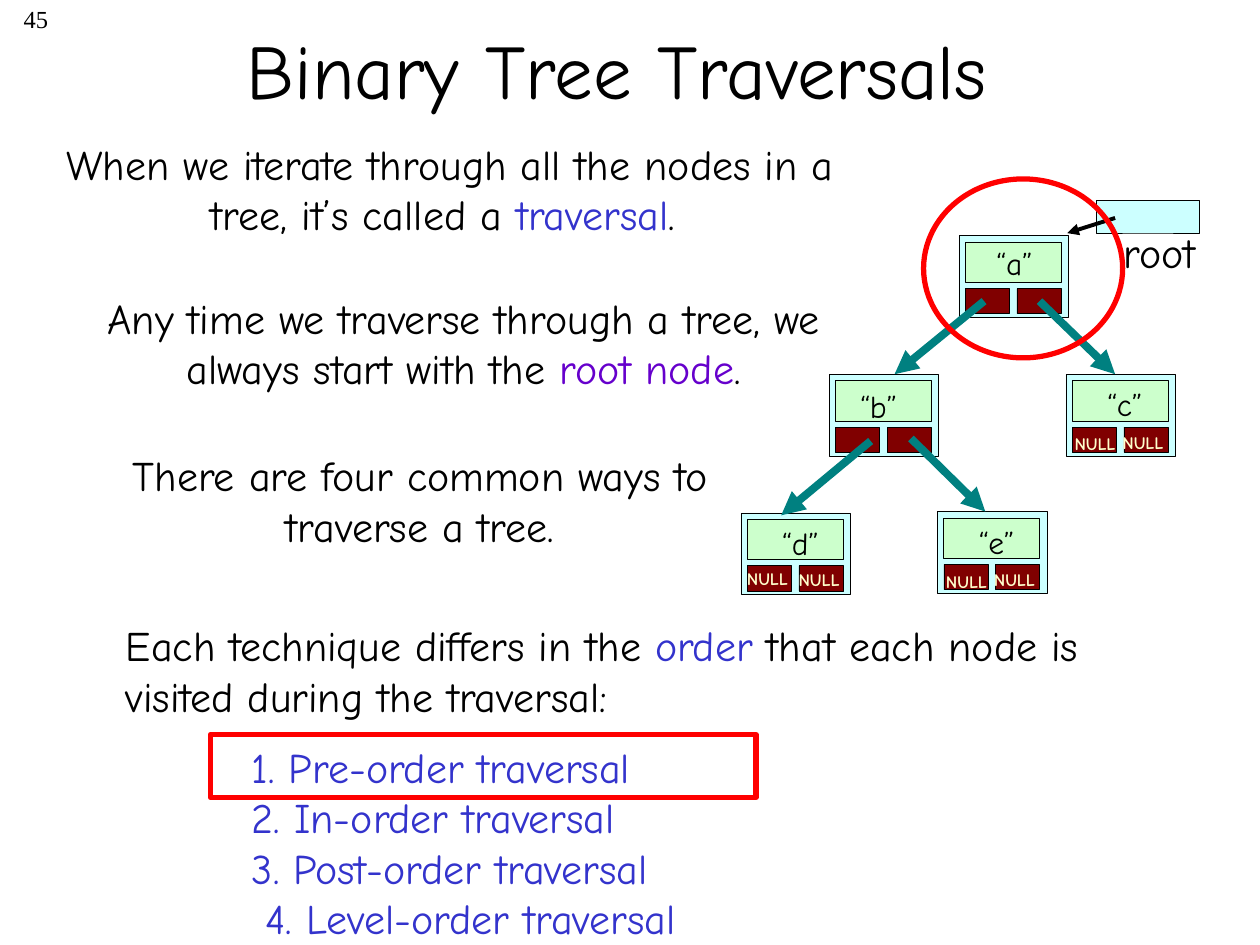
import pptx
import pptx.dml.color
import pptx.enum.shapes
import pptx.enum.text
import pptx.oxml
import pptx.oxml.ns
import pptx.util

Inches = pptx.util.Inches
Pt = pptx.util.Pt
SHAPES = pptx.enum.shapes.MSO_SHAPE
ALIGN = pptx.enum.text.PP_ALIGN

FONT = "Comic Neue"
COLORS = {
    "ink": "000000",
    "term": "3333CC",
    "root_term": "6600CC",
    "node": "CCFFFF",
    "value": "CCFFCC",
    "pointer": "800000",
    "null": "FFFFCC",
    "link": "008080",
    "highlight": "FF0000",
}

# name: (node left, node top, label offset x, label offset y, NULL offsets)
LEAF_NULLS = [(-0.03, 0.42), (0.35, 0.41)]
NODES = {
    "a": (7.61, 1.87, 0.2, 0.02, []),
    "b": (6.58, 2.97, 0.15, 0.05, []),
    "c": (8.46, 2.97, 0.23, 0.04, LEAF_NULLS),
    "d": (5.88, 4.07, 0.23, 0.04, [(-0.05, 0.39), (0.36, 0.4)]),
    "e": (7.44, 4.06, 0.23, 0.04, LEAF_NULLS),
}
LINKS = [
    ((7.81, 2.39), (7.1, 2.97)),
    ((8.25, 2.39), (8.85, 2.97)),
    ((6.91, 3.5), (6.2, 4.09)),
    ((7.23, 3.48), (7.82, 4.06)),
]
TECHNIQUES = ["Pre-order", "In-order", "Post-order", "Level-order"]


def rgb(color):
    return pptx.dml.color.RGBColor.from_string(COLORS[color])


def style_run(run, size, color="ink", font=FONT, bold=False):
    run.font.size = Pt(size)
    run.font.name = font
    run.font.bold = bold
    run.font.color.rgb = rgb(color)


def fill_paragraph(paragraph, pieces, size, align=ALIGN.LEFT, **style):
    """Write (text, color) pieces as the runs of one paragraph."""
    paragraph.alignment = align
    for text, color in pieces:
        run = paragraph.add_run()
        run.text = text
        style_run(run, size, color, **style)


def add_text(slide, box, pieces, size, align=ALIGN.LEFT, **style):
    frame = slide.shapes.add_textbox(*map(Inches, box)).text_frame
    frame.word_wrap = True
    fill_paragraph(frame.paragraphs[0], pieces, size, align, **style)
    return frame


def add_outline(slide, kind, box, line="ink", width=0.25, fill=None):
    shape = slide.shapes.add_shape(kind, *map(Inches, box))
    shape.shadow.inherit = False
    if fill:
        shape.fill.solid()
        shape.fill.fore_color.rgb = rgb(fill)
    else:
        shape.fill.background()
    shape.line.color.rgb = rgb(line)
    shape.line.width = Pt(width)


def add_arrow(slide, start, end, color, width):
    arrow = slide.shapes.add_connector(
        pptx.enum.shapes.MSO_CONNECTOR.STRAIGHT, *map(Inches, start + end))
    arrow.line.color.rgb = rgb(color)
    arrow.line.width = Pt(width)
    head = pptx.oxml.parse_xml(
        f'<a:tailEnd {pptx.oxml.ns.nsdecls("a")} type="triangle"/>')
    arrow.line._get_or_add_ln().append(head)
    effects = pptx.oxml.parse_xml(f'<a:effectLst {pptx.oxml.ns.nsdecls("a")}/>')
    arrow._element.spPr.append(effects)


def add_node(slide, name, left, top, label_x, label_y, nulls):
    add_outline(slide, SHAPES.RECTANGLE, (left, top, 0.87, 0.65), fill="node")
    for pointer_x in (0.05, 0.46):
        add_outline(slide, SHAPES.RECTANGLE,
                    (left + pointer_x, top + 0.42, 0.35, 0.2), fill="pointer")
    add_outline(slide, SHAPES.RECTANGLE,
                (left + 0.05, top + 0.05, 0.76, 0.32), fill="value")
    add_text(slide, (left + label_x, top + label_y, 0.6, 0.4),
             [(f"“{name}”", "ink")], 18)
    for x, y in nulls:
        add_text(slide, (left + x, top + y, 0.57, 0.27),
                 [("NULL", "null")], 10, bold=True)


def add_tree(slide):
    for name, layout in NODES.items():
        add_node(slide, name, *layout)
    for start, end in LINKS:
        add_arrow(slide, start, end, "link", 4.5)
    add_outline(slide, SHAPES.RECTANGLE, (8.7, 1.59, 0.82, 0.26), fill="node")
    add_text(slide, (8.82, 1.75, 0.87, 0.5), [("root", "ink")], 24)
    add_arrow(slide, (8.85, 1.73), (8.47, 1.85), "ink", 2.25)


def add_title(slide):
    title = slide.shapes.title
    title.left, title.top = Inches(0.75), Inches(-0.08)
    title.width, title.height = Inches(8.5), Inches(1.25)
    title.text_frame.text = "Binary Tree Traversals "
    title.text_frame.vertical_anchor = pptx.enum.text.MSO_ANCHOR.MIDDLE
    heading = title.text_frame.paragraphs[0]
    heading.alignment = ALIGN.CENTER
    style_run(heading.runs[0], 44)


def add_techniques(slide):
    frame = add_text(slide, (0.9, 4.87, 8.39, 2.7), [
        ("Each technique differs in the ", "ink"),
        ("order", "term"),
        (" that each node is visited during the traversal:", "ink"),
    ], 24)
    for number, technique in enumerate(TECHNIQUES, 1):
        item = frame.add_paragraph()
        fill_paragraph(item, [(f"{number}. {technique} traversal", "term")], 24)
        indent = 1.11 if number == len(TECHNIQUES) else 1
        item._p.get_or_add_pPr().set("marL", str(Inches(indent)))
        item.space_before = Pt(12 if number == 1 else 0)


def main():
    deck = pptx.Presentation()
    deck.slide_width, deck.slide_height = Inches(10), Inches(7.5)
    slide = deck.slides.add_slide(deck.slide_layouts[5])

    add_text(slide, (0, -0.02, 0.48, 0.5), [("45", "ink")], 14, ALIGN.RIGHT,
             font="Times New Roman")
    add_title(slide)
    add_text(slide, (0.31, 1.05, 6.52, 0.9), [
        ("When we iterate through all the nodes in a tree, it’s called a ", "ink"),
        ("traversal", "term"),
        (". ", "ink"),
    ], 24, ALIGN.CENTER)
    add_techniques(slide)
    add_tree(slide)
    add_text(slide, (0.42, 2.27, 6.52, 0.9), [
        ("Any time we traverse through a tree, we always start with the ", "ink"),
        ("root node", "root_term"),
        (".", "ink"),
    ], 24, ALIGN.CENTER)
    add_outline(slide, SHAPES.OVAL, (7.33, 1.42, 1.58, 1.42), "highlight", 3)
    add_outline(slide, SHAPES.RECTANGLE, (1.67, 5.83, 4.33, 0.5), "highlight", 3)
    add_text(slide, (0.5, 3.52, 5.67, 0.9),
             [("There are four common ways to traverse a tree.", "ink")],
             24, ALIGN.CENTER)
    deck.save("out.pptx")


if __name__ == "__main__":
    main()
